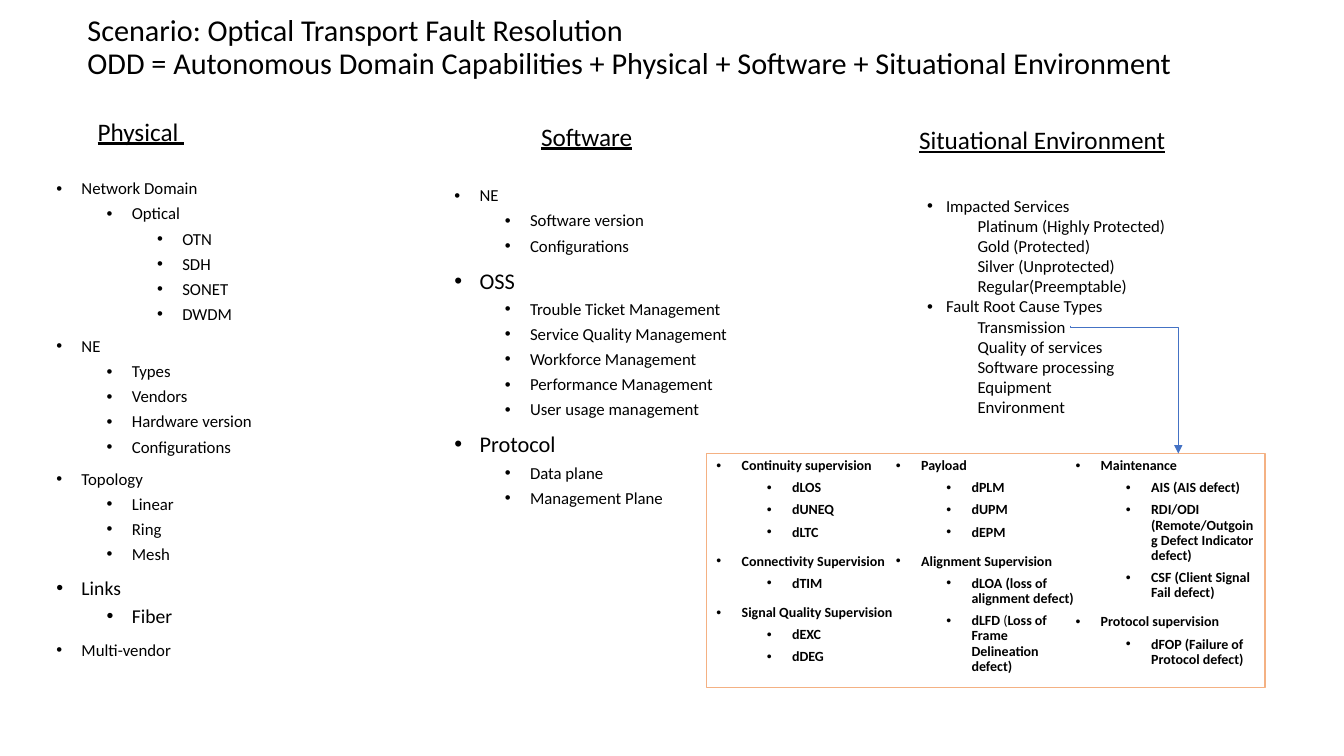
from lxml import etree
from pptx import Presentation
from pptx.dml.color import RGBColor
from pptx.enum.shapes import MSO_CONNECTOR, MSO_SHAPE
from pptx.enum.text import MSO_ANCHOR, MSO_AUTO_SIZE, PP_ALIGN
from pptx.oxml.ns import qn
from pptx.util import Pt

ELBOW, RECTANGLE = MSO_CONNECTOR.ELBOW, MSO_SHAPE.RECTANGLE
TOP, LEFT = MSO_ANCHOR.TOP, PP_ALIGN.LEFT
GROW = MSO_AUTO_SIZE.SHAPE_TO_FIT_TEXT

BLACK = RGBColor(0x00, 0x00, 0x00)
WHITE = RGBColor(0xFF, 0xFF, 0xFF)
ORANGE = RGBColor(0xF4, 0xB1, 0x83)
BLUE = RGBColor(0x44, 0x72, 0xC4)
FONT = "Calibri"

# Per outline level: left margin, hanging indent, space before
SPACED_LEVELS = [(18, 18, 10), (54, 18, 5), (90, 18, 5)]
TIGHT_LEVELS = [(13.5, 13.5, 0), (36, 0, 0)]

PHYSICAL = [
    (0, "Network Domain"), (1, "Optical"),
    (2, "OTN"), (2, "SDH"), (2, "SONET"), (2, "DWDM"),
    (0, "NE"), (1, "Types"), (1, "Vendors"),
    (1, "Hardware version"), (1, "Configurations"),
    (0, "Topology"), (1, "Linear"), (1, "Ring"), (1, "Mesh"),
    (0, "Links", 14), (1, "Fiber", 14),
    (0, "Multi-vendor"),
]
SOFTWARE = [
    (0, "NE"), (1, "Software version"), (1, "Configurations"),
    (0, "OSS", 16), (1, "Trouble Ticket Management"),
    (1, "Service Quality Management"), (1, "Workforce Management"),
    (1, "Performance Management"), (1, "User usage management"),
    (0, "Protocol", 16), (1, "Data plane"), (1, "Management Plane"),
]
SITUATION = [
    (0, "Impacted Services"), (1, "Platinum (Highly Protected)"),
    (1, "Gold (Protected)"), (1, "Silver (Unprotected)"),
    (1, "Regular(Preemptable)"),
    (0, "Fault Root Cause Types"), (1, "Transmission"),
    (1, "Quality of services"), (1, "Software processing"),
    (1, "Equipment"), (1, "Environment"),
]
DEFECTS = [
    (0, "Continuity supervision"), (1, "dLOS"), (1, "dUNEQ"), (1, "dLTC"),
    (0, "Connectivity Supervision"), (1, "dTIM"),
    (0, "Signal Quality Supervision"), (1, "dEXC"), (1, "dDEG"),
    (0, "Payload"), (1, "dPLM"), (1, "dUPM"), (1, "dEPM"),
    (0, "Alignment Supervision"), (1, "dLOA (loss of alignment defect)"),
    (1, "dLFD (Loss of Frame Delineation defect)"),
    (0, "Maintenance"), (1, "AIS (AIS defect)"),
    (1, "RDI/ODI (Remote/Outgoing Defect Indicator defect)"),
    (1, "CSF (Client Signal Fail defect)"),
    (0, "Protocol supervision"), (1, "dFOP (Failure of Protocol defect)"),
]


def style(paragraph, size, bold=False, underline=False):
    """Give every run of a paragraph the slide's font."""
    for run in paragraph.runs:
        run.font.name, run.font.size = FONT, Pt(size)
        run.font.bold, run.font.underline = bold, underline
        run.font.color.rgb = BLACK


def outline(frame, entries, levels, line_spacing, columns=1, size=12, bold=False):
    """Fill a text frame with a multi-level list, bulleted where it hangs."""
    frame.word_wrap = True
    frame.vertical_anchor = TOP
    body = frame._txBody.find(qn("a:bodyPr"))
    body.set("numCol", str(columns))
    body.set("spcCol", "0")
    for index, (level, text, *own_size) in enumerate(entries):
        paragraph = frame.add_paragraph() if index else frame.paragraphs[0]
        left, hanging, before = levels[level]
        paragraph.level = level
        paragraph.alignment = LEFT
        paragraph.line_spacing = line_spacing
        paragraph.space_before = Pt(before)
        # A regular-weight parenthesis follows dLFD
        head, bracket, tail = text.partition(" (")
        if head == "dLFD":
            paragraph.text = head
            paragraph.add_run().text = bracket
            paragraph.add_run().text = tail
        else:
            paragraph.text = text
        style(paragraph, *(own_size or [size]), bold=bold)
        if head == "dLFD":
            paragraph.runs[1].font.bold = False
        properties = paragraph._p.get_or_add_pPr()
        properties.set("marL", str(Pt(left)))
        properties.set("indent", str(-Pt(hanging)))
        if hanging:
            etree.SubElement(properties, qn("a:buFont"), typeface="Arial")
            etree.SubElement(properties, qn("a:buChar"), char="\u2022")


deck = Presentation()
deck.slide_width, deck.slide_height = Pt(960), Pt(540)
slide = deck.slides.add_slide(deck.slide_layouts[6])
shapes = slide.shapes

title = shapes.add_textbox(Pt(55.4), Pt(7.5), Pt(828), Pt(56)).text_frame
title.word_wrap = True
title.text = ("Scenario: Optical Transport Fault Resolution\v"
              "ODD = Autonomous Domain Capabilities + Physical + Software"
              " + Situational Environment")
title.paragraphs[0].line_spacing = 0.9
style(title.paragraphs[0], 21.6)

for left, top, width, text in [
    (62.6, 79.2, 77, "Physical "),
    (379.4, 82.8, 80.6, "Software"),
    (649.4, 85, 192.2, "Situational Environment"),
]:
    heading = shapes.add_textbox(Pt(left), Pt(top), Pt(width), Pt(29)).text_frame
    heading.word_wrap = False
    heading.auto_size = GROW
    heading.text = text
    style(heading.paragraphs[0], 18, underline=True)

physical = shapes.add_textbox(Pt(33.1), Pt(125.3), Pt(298), Pt(360))
outline(physical.text_frame, PHYSICAL, SPACED_LEVELS, 0.9, columns=2)

situation = shapes.add_textbox(Pt(655.2), Pt(136), Pt(239.8), Pt(181.4))
situation.text_frame.auto_size = GROW
outline(situation.text_frame, SITUATION, TIGHT_LEVELS, 1.0)

software = shapes.add_textbox(Pt(317.5), Pt(130.3), Pt(426.2), Pt(360))
outline(software.text_frame, SOFTWARE, SPACED_LEVELS, 0.9, columns=2)

defects = shapes.add_shape(RECTANGLE, Pt(504.7), Pt(324), Pt(398.9), Pt(167))
defects.shadow.inherit = False
defects.fill.solid()
defects.fill.fore_color.rgb = WHITE
defects.line.color.rgb = ORANGE
defects.line.width = Pt(1)
outline(defects.text_frame, DEFECTS, SPACED_LEVELS, 0.9, columns=3, size=10, bold=True)

# Transmission leads right, then down to its defects: an elbow turned by 270 degrees
start_x, start_y, end_x, end_y = 764.6, 232.6, 841.7, 324
middle_x, middle_y = (start_x + end_x) / 2, (start_y + end_y) / 2
half_run, half_drop = (end_x - start_x) / 2, (end_y - start_y) / 2
arrow = shapes.add_connector(
    ELBOW,
    Pt(middle_x + half_drop), Pt(middle_y - half_run),
    Pt(middle_x - half_drop), Pt(middle_y + half_run),
)
arrow.line.color.rgb = BLUE
arrow.line.width = Pt(0.5)
arrow_properties = arrow._element.spPr
arrow_properties.find(qn("a:xfrm")).set("rot", str(270 * 60000))
adjustments = arrow_properties.find(qn("a:prstGeom")).find(qn("a:avLst"))
etree.SubElement(adjustments, qn("a:gd"), name="adj1", fmla="val 1100")
etree.SubElement(arrow_properties.find(qn("a:ln")), qn("a:tailEnd"), type="triangle")
etree.SubElement(arrow_properties, qn("a:effectLst"))

deck.save("out.pptx")
